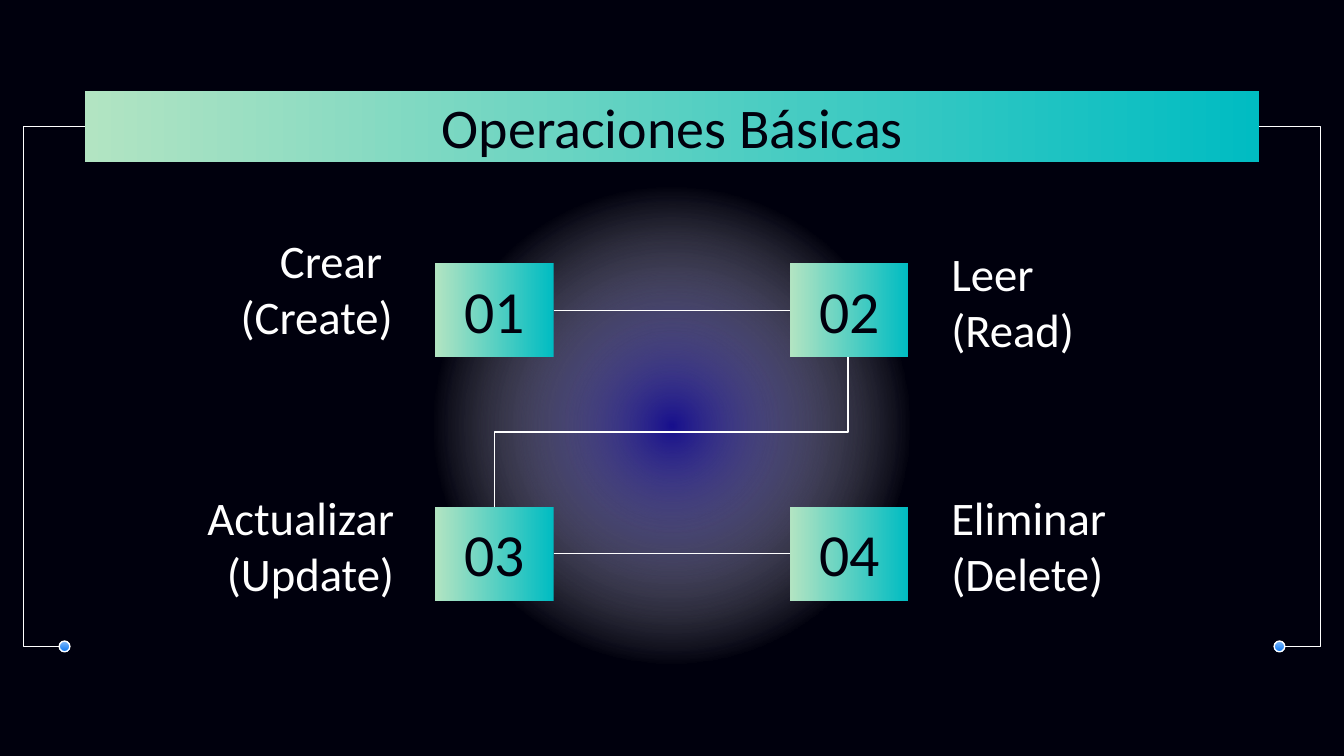
from pptx import Presentation
from pptx.dml.color import RGBColor
from pptx.enum.shapes import MSO_CONNECTOR as Link, MSO_SHAPE as Kind
from pptx.enum.text import MSO_ANCHOR as Anchor, PP_ALIGN as Align
from pptx.oxml import parse_xml
from pptx.oxml.ns import nsdecls, qn
from pptx.util import Inches, Pt

NIGHT = RGBColor(0x00, 0x00, 0x0D)
WHITE = RGBColor(0xFF, 0xFF, 0xFF)
TEAL = RGBColor(0x00, 0xBC, 0xC2)
MINT = RGBColor(0xB2, 0xE4, 0xC2)
INDIGO = RGBColor(0x17, 0x0F, 0x8D)
SKY = RGBColor(0x82, 0xBC, 0xFE)
BLUE = RGBColor(0x0C, 0x77, 0xF1)

# Gradient stops: percent, colour, opacity percent
BAND = [(0, TEAL, 100), (100, MINT, 100)]
GLOW = [(0, INDIGO, 100), (61, WHITE, 0), (100, WHITE, 0)]
BEAD = [(0, SKY, 100), (100, BLUE, 100)]


class Board:
    font = "Calibri"
    stroke = Pt(0.75)

    def __init__(self, slide):
        self.slide = slide
        slide.background.fill.solid()
        slide.background.fill.fore_color.rgb = NIGHT

    def shape(self, kind, box, stops, angle=None, edge=None):
        """Draw a gradient shape; without an angle the gradient is radial."""
        shape = self.slide.shapes.add_shape(kind, *map(Inches, box))
        shape.shadow.inherit = False
        if edge is None:
            shape.line.fill.background()
        else:
            shape.line.color.rgb = edge
            shape.line.width = self.stroke
        marks = "".join(
            f'<a:gs pos="{pos * 1000}"><a:srgbClr val="{color}">'
            f'<a:alpha val="{alpha * 1000}"/></a:srgbClr></a:gs>'
            for pos, color, alpha in stops)
        if angle is None:
            way = ('<a:path path="circle"><a:fillToRect l="50000" t="50000" '
                   'r="50000" b="50000"/></a:path>')
        else:
            way = f'<a:lin ang="{angle * 60000}" scaled="0"/>'
        shape.fill.background()
        props = shape._element.spPr
        props.replace(props.find(qn("a:noFill")), parse_xml(
            f'<a:gradFill {nsdecls("a")} rotWithShape="1">'
            f'<a:gsLst>{marks}</a:gsLst>{way}</a:gradFill>'))

    def text(self, words, box, size, color, align, anchor=Anchor.MIDDLE):
        frame = self.slide.shapes.add_textbox(*map(Inches, box)).text_frame
        frame.word_wrap = True
        frame.vertical_anchor = anchor
        frame.margin_left = frame.margin_right = Inches(0.1)
        frame.margin_top = frame.margin_bottom = Inches(0.1)
        frame.text = words
        for para in frame.paragraphs:
            para.alignment = align
            for run in para.runs:
                run.font.name = self.font
                run.font.size = Pt(size)
                run.font.color.rgb = color

    def line(self, start, end, kind=Link.STRAIGHT, bend=None, turn=0):
        """Draw a connector; bend places the elbow, turn is in degrees."""
        line = self.slide.shapes.add_connector(
            kind, *map(Inches, (*start, *end)))
        line.line.color.rgb = WHITE
        line.line.width = self.stroke
        props = line._element.spPr
        props.append(parse_xml(f'<a:effectLst {nsdecls("a")}/>'))
        if turn:
            props.find(qn("a:xfrm")).set("rot", str(turn * 60000))
        if bend is not None:
            geom = props.find(qn("a:prstGeom"))
            geom.replace(geom.find(qn("a:avLst")), parse_xml(
                f'<a:avLst {nsdecls("a")}><a:gd name="adj1" '
                f'fmla="val {round(bend * 100000)}"/></a:avLst>'))


def main():
    # Wide 16:9 page
    deck = Presentation()
    deck.slide_width, deck.slide_height = Inches(10), Inches(10 * 9 / 16)
    board = Board(deck.slides.add_slide(deck.slide_layouts[6]))

    # Glow and title band
    board.shape(Kind.OVAL, (2.83, 1.22, 4.33, 3.89), GLOW)
    board.shape(Kind.RECTANGLE, (0.63, 0.68, 8.74, 0.53), BAND, 180)

    # Numbered tiles
    cols, rows = (3.24, 5.88), (1.96, 3.77)
    wide, high = 0.88, 0.7
    tiles = [(x, y) for y in rows for x in cols]
    for x, y in tiles:
        board.shape(Kind.RECTANGLE, (x, y, wide, high), BAND, 180)

    # Operation labels
    labels = [
        ("Crear \n(Create)", (0.27, 1.79, 2.75, 0.7), Align.RIGHT),
        ("Leer\n(Read)", (6.98, 1.98, 2.24, 0.51), Align.LEFT),
        ("Actualizar (Update)", (0.79, 3.8, 2.24, 0.51), Align.RIGHT),
        ("Eliminar (Delete)", (6.98, 3.8, 2.24, 0.51), Align.LEFT),
    ]
    for words, box, align in labels:
        board.text(words, box, 25, WHITE, align)

    # Tile numbers
    for num, (x, y) in enumerate(tiles, 1):
        board.text(f"{num:02}", (x + 0.05, y + 0.11, 0.78, 0.47), 32, NIGHT,
                   Align.CENTER)

    # Path from 01 to 04
    for y in rows:
        mid = y + high / 2
        board.line((cols[0] + wide, mid), (cols[1], mid))
    # The step from 02 down to 03 is a connector turned a quarter
    board.line((4.44, 1.9), (5.55, 4.53), Link.ELBOW, 0.5, turn=90)

    # Side brackets with beads
    dot = 0.08
    for bead, tip, side in ((0.44, 0.44, 0.63), (9.48, 9.56, 9.37)):
        board.shape(Kind.OVAL, (bead, 4.77, dot, dot), BEAD, 90, WHITE)
        board.line((tip, 4.81), (side, 0.94), Link.ELBOW, -1.39)

    # Title
    board.text("Operaciones Básicas", (0.79, 0.59, 8.43, 0.63), 30, NIGHT,
               Align.CENTER, Anchor.TOP)

    deck.save("out.pptx")


if __name__ == "__main__":
    main()
